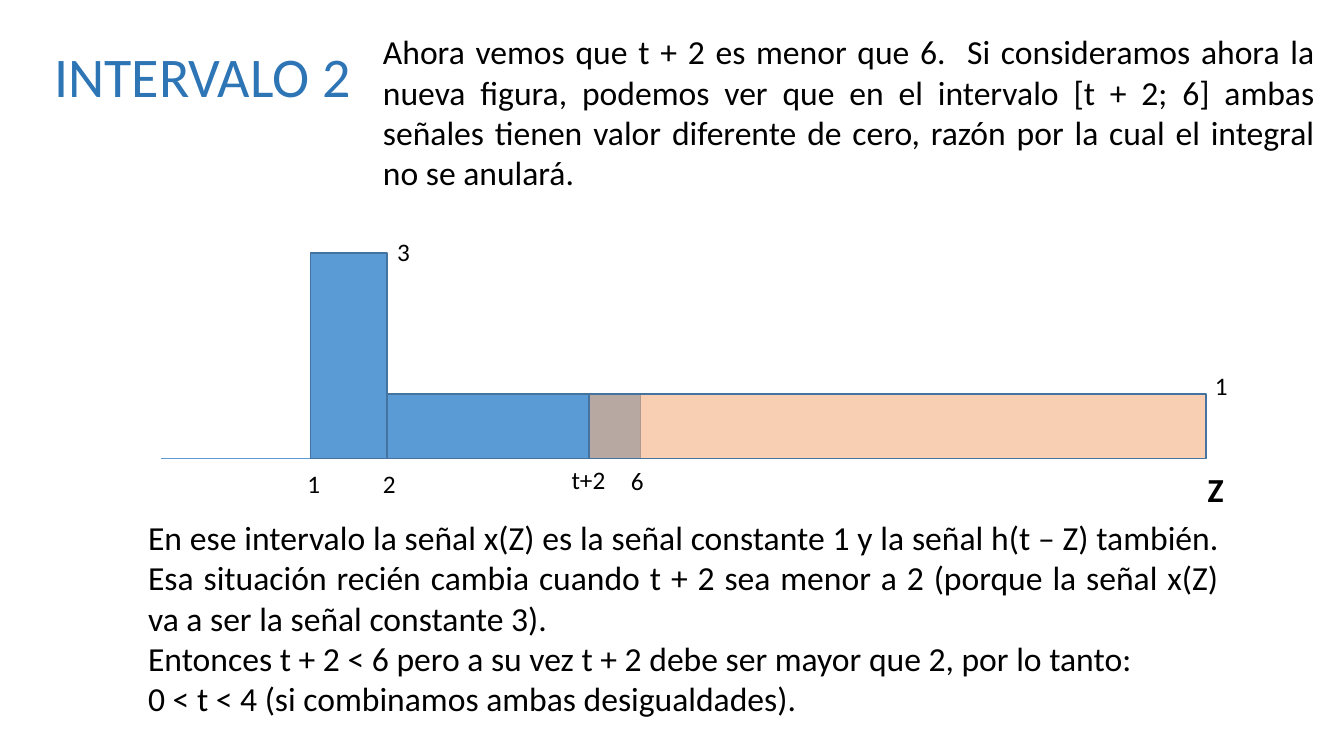
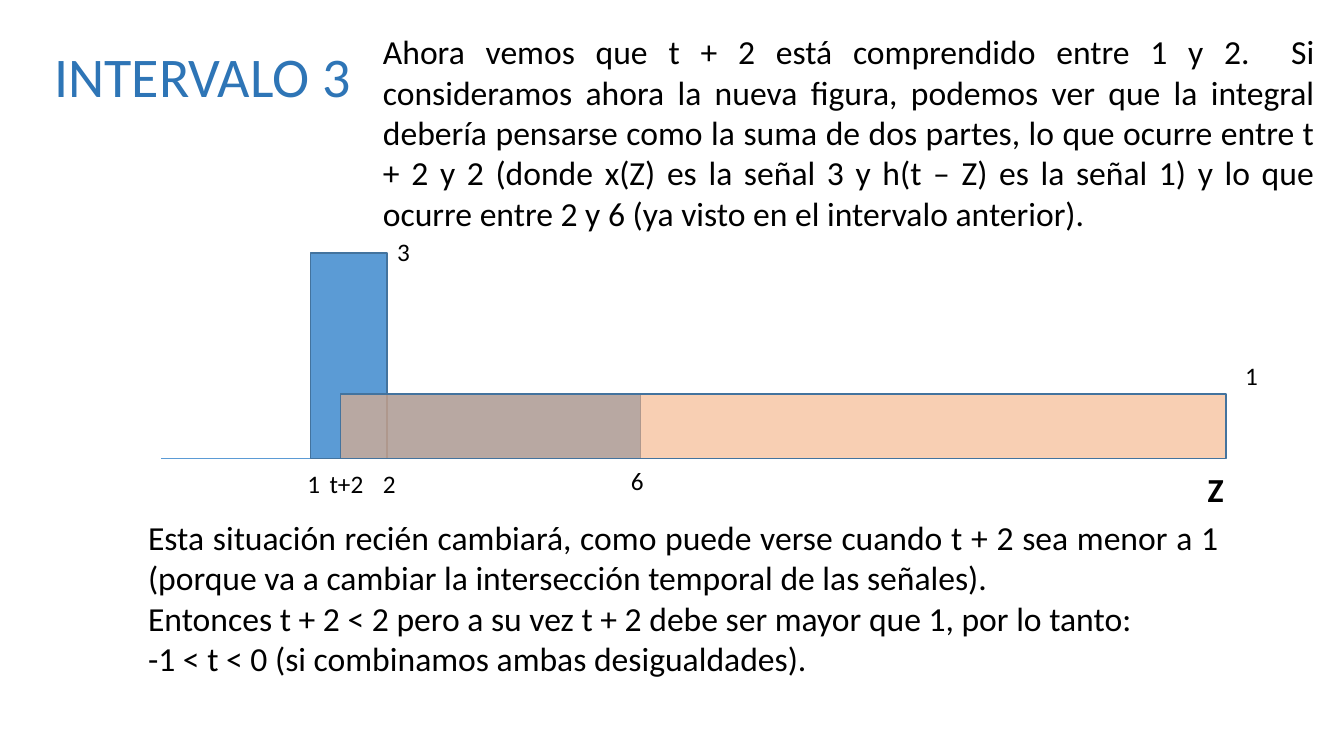
from lxml import etree
from pptx import Presentation
from pptx.dml.color import RGBColor
from pptx.enum.shapes import MSO_CONNECTOR, MSO_SHAPE
from pptx.enum.text import MSO_AUTO_SIZE, PP_ALIGN
from pptx.oxml.ns import qn
from pptx.util import Emu, Pt

# Content
SLIDES = [
    {
        "title": "INTERVALO 2",
        "intro": ["Ahora vemos que t + 2 es menor que 6.  Si consideramos ahora la nueva figura, "
                  "podemos ver que en el intervalo [t + 2; 6] ambas señales tienen valor diferente "
                  "de cero, razón por la cual el integral no se anulará."],
        "intro_height": 172,
        "signal": (584, 1196),
        "labels": [("1", 1195, 362), ("t+2", 557, 456)],
        "notes": ["En ese intervalo la señal x(Z) es la señal constante 1 y la señal h(t – Z) "
                  "también. Esa situación recién cambia cuando t + 2 sea menor a 2 (porque la "
                  "señal x(Z) va a ser la señal constante 3).",
                  "Entonces t + 2 < 6 pero a su vez t + 2 debe ser mayor que 2, por lo tanto:",
                  "0 < t < 4 (si combinamos ambas desigualdades)."],
        "notes_height": 212,
    },
    {
        "title": "INTERVALO 3",
        "intro": ["Ahora vemos que t + 2 está comprendido entre 1 y 2.  Si consideramos ahora la "
                  "nueva figura, podemos ver que la integral debería pensarse como la suma de dos "
                  "partes, lo que ocurre entre t + 2 y 2 (donde x(Z) es la señal 3 y h(t – Z) es "
                  "la señal 1) y lo que ocurre entre 2 y 6 (ya visto en el intervalo anterior)."],
        "intro_height": 212,
        "signal": (338, 1216),
        "labels": [("1", 1225, 353), ("t+2", 317, 460)],
        "notes": ["Esta situación recién cambiará, como puede verse cuando t + 2 sea menor a 1 "
                  "(porque va a cambiar la intersección temporal de las señales).",
                  "Entonces t + 2 < 2 pero a su vez t + 2 debe ser mayor que 1, por lo tanto:",
                  "-1 < t < 0 (si combinamos ambas desigualdades)."],
        "notes_height": 172,
    },
]

# Shared layout (100 px to the inch) and style
PX = 9144
FONT, BLACK, TITLE_BLUE = "Calibri", "000000", "2E75B6"
BLUE, OUTLINE, ORANGE = "5B9BD5", "43739E", "F4B183"
AXIS_LEFT, AXIS_RIGHT, AXIS_Y = 160, 1195, 455
STEP_BARS = [(308, 384, 251), (384, 635, 391)]  # left, right, top
SIGNAL_TOP = 391
FIXED_LABELS = [("2", 370, 460), ("6", 616, 457), ("1", 295, 460), ("3", 384, 230)]


def px(*values):
    return [Emu(v * PX) for v in values]


def rgb(value):
    return RGBColor.from_string(value)


def add_text(s, box, paragraphs, size=24, color=BLACK, bold=False, align=PP_ALIGN.LEFT):
    tf = s.shapes.add_textbox(*px(*box)).text_frame
    tf.word_wrap = True
    tf.auto_size = MSO_AUTO_SIZE.SHAPE_TO_FIT_TEXT
    tf.text = "\n".join(paragraphs)
    for p in tf.paragraphs:
        p.alignment = align
        font = p.runs[0].font
        font.name, font.size, font.bold = FONT, Pt(size), bold
        font.color.rgb = rgb(color)


def add_bar(shapes, left, right, top, fill, opacity=100):
    box = px(left, top, right - left, AXIS_Y - top)
    sp = shapes.add_shape(MSO_SHAPE.RECTANGLE, *box)
    sp.shadow.inherit = False
    sp.fill.solid()
    sp.fill.fore_color.rgb = rgb(fill)
    sp.line.color.rgb = rgb(OUTLINE)
    sp.line.width = Pt(1)
    if opacity < 100:
        color = sp.fill._xPr.find(qn("a:solidFill"))[0]
        etree.SubElement(color, qn("a:alpha")).set("val", str(opacity * 1000))


def add_axis(s):
    line = s.shapes.add_connector(MSO_CONNECTOR.STRAIGHT,
                                  *px(AXIS_LEFT, AXIS_Y, AXIS_RIGHT, AXIS_Y))
    line.line.color.rgb = rgb(BLUE)
    line.line.width = Pt(0.5)
    etree.SubElement(line._element.spPr, qn("a:effectLst"))
    add_text(s, (1188, 460, 58, 50), ["Z"], bold=True)


def build_slide(prs, data):
    s = prs.slides.add_slide(prs.slide_layouts[6])
    # Title and introduction
    add_text(s, (370, 26, 944, data["intro_height"]), data["intro"], align=PP_ALIGN.JUSTIFY)
    add_text(s, (44, 36, 340, 77), [data["title"]], size=40, color=TITLE_BLUE)
    # Figure: axis, stepped signal x(Z), moving signal h(t – Z)
    add_axis(s)
    step = s.shapes.add_group_shape()
    for left, right, top in STEP_BARS:
        add_bar(step.shapes, left, right, top, BLUE)
    add_bar(s.shapes, *data["signal"], SIGNAL_TOP, ORANGE, opacity=61)
    for text, left, top in FIXED_LABELS + data["labels"]:
        add_text(s, (left, top, 58, 40), [text], size=18)
    # Conclusion
    add_text(s, (137, 508, 1082, data["notes_height"]), data["notes"], align=PP_ALIGN.JUSTIFY)


def main():
    prs = Presentation()
    prs.slide_width, prs.slide_height = px(1333, 750)
    for data in SLIDES:
        build_slide(prs, data)
    prs.save("out.pptx")


if __name__ == "__main__":
    main()
